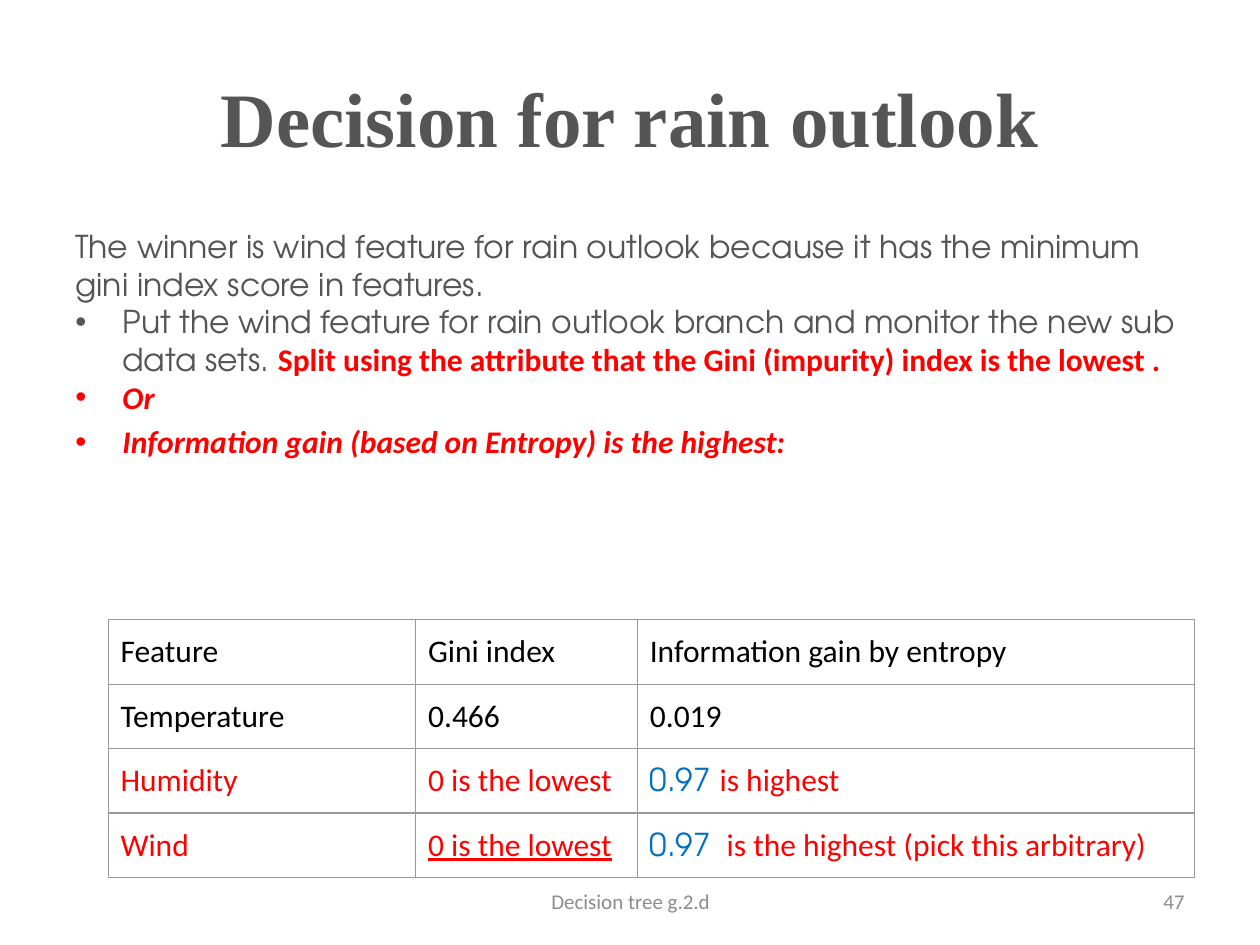
from lxml import etree
from pptx import Presentation
from pptx import util as u
from pptx.dml.color import RGBColor
from pptx.enum import text
from pptx.oxml import ns

GREY = RGBColor(0x55, 0x55, 0x55)
PALE = RGBColor(0x8C, 0x8C, 0x8C)
RED = RGBColor(0xFF, 0x00, 0x00)
BLUE = RGBColor(0x00, 0x70, 0xC0)
BLACK = RGBColor(0x00, 0x00, 0x00)
WHITE = RGBColor(0xFF, 0xFF, 0xFF)
BORDER = "999999"
SANS, GEOMETRIC, SERIF = "Calibri", "TeX Gyre Adventor", "Times New Roman"

STYLES = {
    "title": dict(name=SERIF, size=44, color=GREY, bold=True),
    "plain": dict(name=GEOMETRIC, size=18, color=GREY),
    "strong": dict(name=SANS, size=18, color=RED, bold=True),
    "stress": dict(name=SANS, size=18, color=RED, bold=True, italic=True),
    "footer": dict(name=SANS, size=12, color=PALE),
    "cell": dict(name=SANS, size=18, color=BLACK),
    "red": dict(name=SANS, size=18, color=RED),
    "underlined": dict(name=SANS, size=18, color=RED, underline=True),
    "score": dict(name=GEOMETRIC, size=18, color=BLUE),
}

TITLE = [("Decision for rain outlook", "title")]
BODY = [
    (False, 0, [("The winner is wind feature for rain outlook because it has the "
                 "minimum gini index score in features.", "plain")]),
    (True, 0, [("Put the wind feature for rain outlook branch and monitor the new "
                "sub data sets. ", "plain"),
               ("Split using the attribute that the Gini (impurity) index is the "
                "lowest .", "strong")]),
    (True, 0, [("Or", "stress")]),
    (True, 3.6, [("Information gain (based on Entropy) is the highest:", "stress")]),
]
FOOTERS = [
    ("Decision tree g.2.d", 8.69, 8.05, text.PP_ALIGN.CENTER),
    ("47", 18.21, 5.92, text.PP_ALIGN.RIGHT),
]
COLUMN_WIDTHS = [6.2, 4.47, 11.23]
ROW_HEIGHT = 1.3
ROWS = [
    [[("Feature", "cell")], [("Gini index", "cell")],
     [("Information gain by entropy", "cell")]],
    [[("Temperature", "cell")], [("0.466", "cell")], [("0.019", "cell")]],
    [[("Humidity", "red")], [("0 is the lowest", "red")],
     [("0.97 ", "score"), ("is highest", "red")]],
    [[("Wind", "red")], [("0 is the lowest", "underlined")],
     [("0.97 ", "score"), (" is the highest (pick this arbitrary)", "red")]],
]


def write_runs(paragraph, runs):
    for words, style_name in runs:
        run = paragraph.add_run()
        run.text = words
        style = dict(STYLES[style_name])
        run.font.color.rgb = style.pop("color")
        run.font.size = u.Pt(style.pop("size"))
        for attribute, value in style.items():
            setattr(run.font, attribute, value)


def add_bullet(paragraph):
    properties = paragraph._p.get_or_add_pPr()
    properties.set("marL", str(u.Cm(0.95)))
    properties.set("indent", str(-u.Cm(0.95)))
    font = etree.SubElement(properties, ns.qn("a:buFont"))
    font.set("typeface", "Arial")
    etree.SubElement(properties, ns.qn("a:buChar")).set("char", "•")


def add_borders(cell):
    properties = cell._tc.get_or_add_tcPr()
    for index, side in enumerate(("lnL", "lnR", "lnT", "lnB")):
        line = etree.Element(ns.qn("a:" + side), w=str(u.Pt(0.75)))
        fill = etree.SubElement(line, ns.qn("a:solidFill"))
        etree.SubElement(fill, ns.qn("a:srgbClr")).set("val", BORDER)
        properties.insert(index, line)


def place_title(slide):
    title = slide.shapes.title
    title.left, title.top = u.Cm(1.27), u.Cm(0.76)
    title.width, title.height = u.Cm(22.86), u.Cm(3.18)
    title.text_frame.vertical_anchor = text.MSO_ANCHOR.MIDDLE
    paragraph = title.text_frame.paragraphs[0]
    paragraph.alignment = text.PP_ALIGN.CENTER
    write_runs(paragraph, TITLE)


def add_text_box(slide, left, top, width, height):
    box = slide.shapes.add_textbox(u.Cm(left), u.Cm(top), u.Cm(width), u.Cm(height))
    box.text_frame.word_wrap = True
    return box.text_frame


def add_body(slide):
    frame = add_text_box(slide, 1.27, 4.45, 22.86, 12.57)
    for index, (bulleted, space, runs) in enumerate(BODY):
        paragraph = frame.add_paragraph() if index else frame.paragraphs[0]
        paragraph.space_before = u.Pt(space)
        if bulleted:
            add_bullet(paragraph)
        write_runs(paragraph, runs)


def add_footers(slide):
    for words, left, width, alignment in FOOTERS:
        frame = add_text_box(slide, left, 17.65, width, 1.02)
        frame.vertical_anchor = text.MSO_ANCHOR.MIDDLE
        frame.paragraphs[0].alignment = alignment
        write_runs(frame.paragraphs[0], [(words, "footer")])


def add_feature_table(slide):
    table = slide.shapes.add_table(
        len(ROWS), len(COLUMN_WIDTHS), u.Cm(2.18), u.Cm(12.49),
        u.Cm(sum(COLUMN_WIDTHS)), u.Cm(ROW_HEIGHT * len(ROWS))).table
    table.first_row = table.horz_banding = False
    for column, width in zip(table.columns, COLUMN_WIDTHS):
        column.width = u.Cm(width)
    for row, contents in zip(table.rows, ROWS):
        row.height = u.Cm(ROW_HEIGHT)
        for cell, runs in zip(row.cells, contents):
            cell.fill.solid()
            cell.fill.fore_color.rgb = WHITE
            cell.vertical_anchor = text.MSO_ANCHOR.MIDDLE
            cell.margin_left = cell.margin_right = u.Cm(0.25)
            cell.margin_top = cell.margin_bottom = u.Cm(0.25)
            write_runs(cell.text_frame.paragraphs[0], runs)
            add_borders(cell)


def main():
    presentation = Presentation()
    presentation.slide_width, presentation.slide_height = u.Cm(25.4), u.Cm(19.05)
    slide = presentation.slides.add_slide(presentation.slide_layouts[5])
    place_title(slide)
    add_body(slide)
    add_footers(slide)
    add_feature_table(slide)
    presentation.save("out.pptx")


if __name__ == "__main__":
    main()
